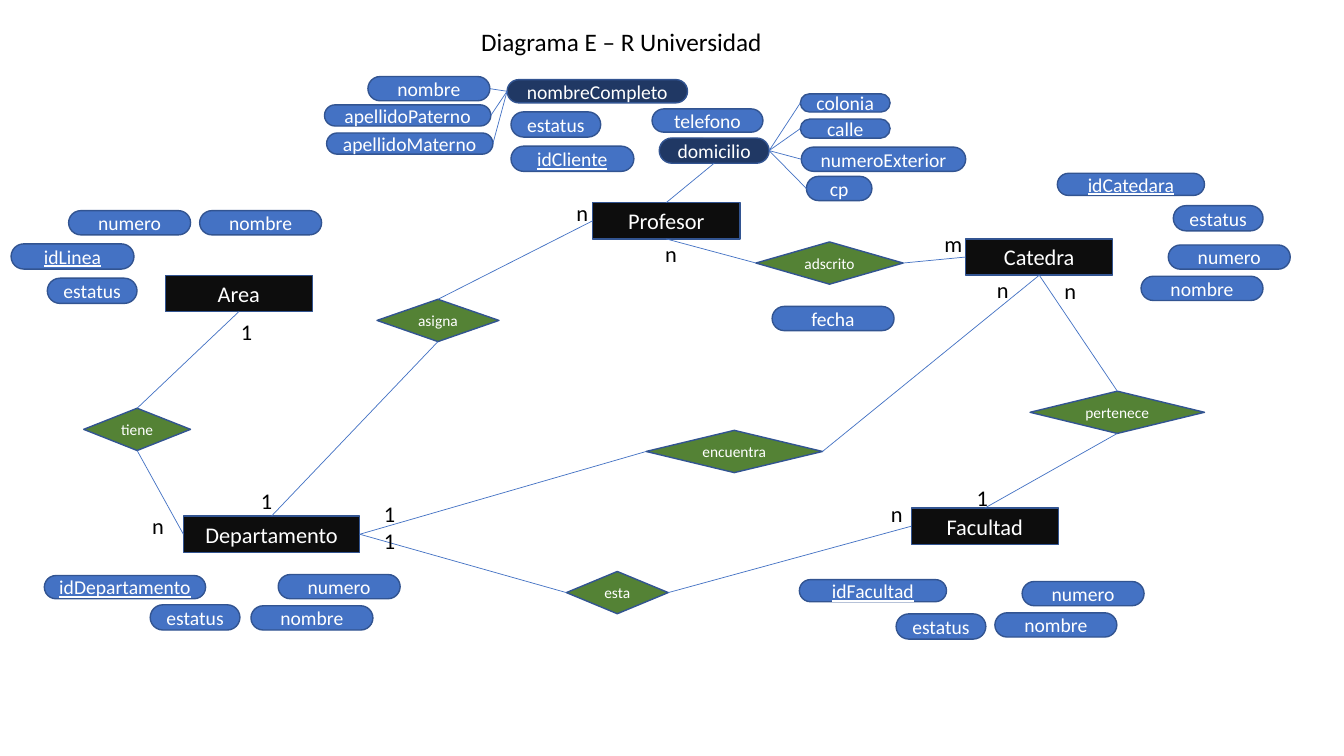
from pptx import Presentation, util as u
from pptx.dml.color import RGBColor
from pptx.enum import shapes, text
from pptx.oxml.ns import qn
from lxml import etree

TOP, LEFT, BASE, RIGHT = range(4)
KIND = shapes.MSO_SHAPE


def paint(hue):
    return RGBColor.from_string(hue)


class Board:
    font = "Calibri"
    ink, white = "000000", "FFFFFF"
    black, green, blue, navy = "0D0D0D", "548235", "4472C4", "203864"
    edge = "325491"

    def __init__(self, slide):
        self.items = slide.shapes

    def letter(self, frame, words, size, hue, mid=True, under=None):
        frame.word_wrap = True
        par = frame.paragraphs[0]
        par.alignment = text.PP_ALIGN.CENTER if mid else text.PP_ALIGN.LEFT
        run = par.add_run()
        run.text = words
        run.font.name = self.font
        run.font.size = u.Pt(size)
        run.font.underline = under
        run.font.color.rgb = paint(hue)

    def label(self, words, x, y, w=22.3, h=26.6, size=16, mid=False):
        box = self.items.add_textbox(*map(u.Pt, (x, y, w, h)))
        self.letter(box.text_frame, words, size, self.ink, mid)

    def node(self, kind, words, area, fill, size, under=None):
        node = self.items.add_shape(kind, *map(u.Pt, area))
        node.shadow.inherit = False
        node.fill.solid()
        node.fill.fore_color.rgb = paint(fill)
        node.line.color.rgb = paint(self.edge)
        node.line.width = u.Pt(1)
        frame = node.text_frame
        frame.margin_left = frame.margin_right = 0
        frame.margin_top = frame.margin_bottom = 0
        frame.vertical_anchor = text.MSO_ANCHOR.MIDDLE
        self.letter(frame, words, size, self.white, under=under)
        return node

    def table(self, words, x, y, w=105.1):
        return self.node(KIND.RECTANGLE, words, (x, y, w, 26), self.black, 16)

    def bond(self, words, x, y, w):
        return self.node(KIND.DIAMOND, words, (x, y, w, 30.2), self.green, 11)

    def pill(self, words, x, y, w=87.1, h=17.3, fill=blue):
        under = True if words.startswith("id") else None
        pill = self.node(KIND.ROUNDED_RECTANGLE, words, (x, y, w, h), fill, 14, under)
        pill.adjustments[0] = 0.5
        return pill

    def state(self, x, y):
        return self.pill("estatus", x, y, 64.1, 18)

    def link(self, start, leave, end, enter):
        line = self.items.add_connector(shapes.MSO_CONNECTOR.STRAIGHT, 0, 0, 0, 0)
        line.begin_connect(start, leave)
        line.end_connect(end, enter)
        line.line.color.rgb = paint(self.blue)
        line.line.width = u.Pt(0.5)
        etree.SubElement(line._element.spPr, qn("a:effectLst"))


def main():
    deck = Presentation()
    deck.slide_width, deck.slide_height = u.Pt(960), u.Pt(540)
    board = Board(deck.slides.add_slide(deck.slide_layouts[6]))

    board.label("Diagrama E – R Universidad", 265, 15.1, 357.8, 28.8, 18, True)

    area = board.table("Area", 118.1, 196.6)
    dept = board.table("Departamento", 131, 368.6, 126)
    prof = board.table("Profesor", 423.4, 144.7)
    chair = board.table("Catedra", 689.8, 170.6)
    school = board.table("Facultad", 650.9, 362.9)

    has = board.bond("tiene", 59.8, 291.6, 76.3)
    grants = board.bond("asigna", 269.3, 213.8, 87.1)
    joins = board.bond("adscrito", 540, 172.8, 105.1)
    belongs = board.bond("pertenece", 735.8, 279.4, 124.6)
    stays = board.bond("esta", 404.6, 408.2, 72.7)
    meets = board.bond("encuentra", 461.5, 307.4, 126)

    for row in (
        ("idLinea", 7.9, 174.2, 87.8, 18),
        ("numero", 49, 150.5),
        ("nombre", 142.6, 150.5),
        ("idCliente", 365, 104.4, 87.8, 18),
        ("telefono", 465.8, 77.8, 79.2, 16.6),
        ("idDepartamento", 31.7, 411.1, 115.2, 16.6),
        ("idFacultad", 571, 414, 105.1, 15.8),
        ("idCatedara", 755.3, 123.8, 105.1, 15.8),
        ("fecha", 551.5, 218.9),
    ):
        board.pill(*row)
    for spot in ((33.8, 198.7), (365, 79.9), (107.3, 432), (640.1, 438.5), (838.1, 146.9)):
        board.state(*spot)
    for x, y in ((198.7, 410.4), (730.1, 415.4), (834.5, 175)):
        board.pill("numero", x, y)
        board.pill("nombre", x - 19.45, y + 22.35)

    full = board.pill("nombreCompleto", 362.2, 56.9, 128.9, 16.6, board.navy)
    for row in (
        ("nombre", 262.8, 54.7),
        ("apellidoPaterno", 231.8, 74.9, 118.8, 15.1),
        ("apellidoMaterno", 233.3, 95, 118.8, 15.1),
    ):
        board.link(board.pill(*row), RIGHT, full, LEFT)

    home = board.pill("domicilio", 470.9, 98.6, 78.5, 18, board.navy)
    for row in (
        ("colonia", 571.7, 67, 64.1, 13),
        ("calle", 571.7, 85, 64.1, 13.7),
        ("numeroExterior", 572.4, 105.1, 117.4),
        ("cp", 576, 126, 46.8),
    ):
        board.link(home, RIGHT, board.pill(*row), LEFT)

    for ends in (
        (home, BASE, prof, TOP),
        (area, BASE, has, TOP),
        (has, BASE, dept, LEFT),
        (dept, TOP, grants, BASE),
        (grants, TOP, prof, LEFT),
        (prof, BASE, joins, LEFT),
        (joins, RIGHT, chair, LEFT),
        (chair, BASE, belongs, TOP),
        (belongs, BASE, school, TOP),
        (dept, RIGHT, stays, LEFT),
        (stays, RIGHT, school, LEFT),
        (dept, RIGHT, meets, LEFT),
        (meets, RIGHT, chair, BASE),
    ):
        board.link(*ends)

    for count, x, y in (
        ("1", 164.9, 223.9),
        ("n", 101.5, 362.2),
        ("n", 404.6, 139),
        ("1", 179.3, 344.2),
        ("1", 267.1, 353.5),
        ("1", 267.1, 373),
        ("n", 629.3, 353.5),
        ("1", 690.5, 342),
        ("n", 468, 167.8),
        ("m", 667.4, 160.6),
        ("n", 704.9, 193.7),
        ("n", 753.1, 194.4),
    ):
        board.label(count, x, y)

    deck.save("out.pptx")


if __name__ == "__main__":
    main()
